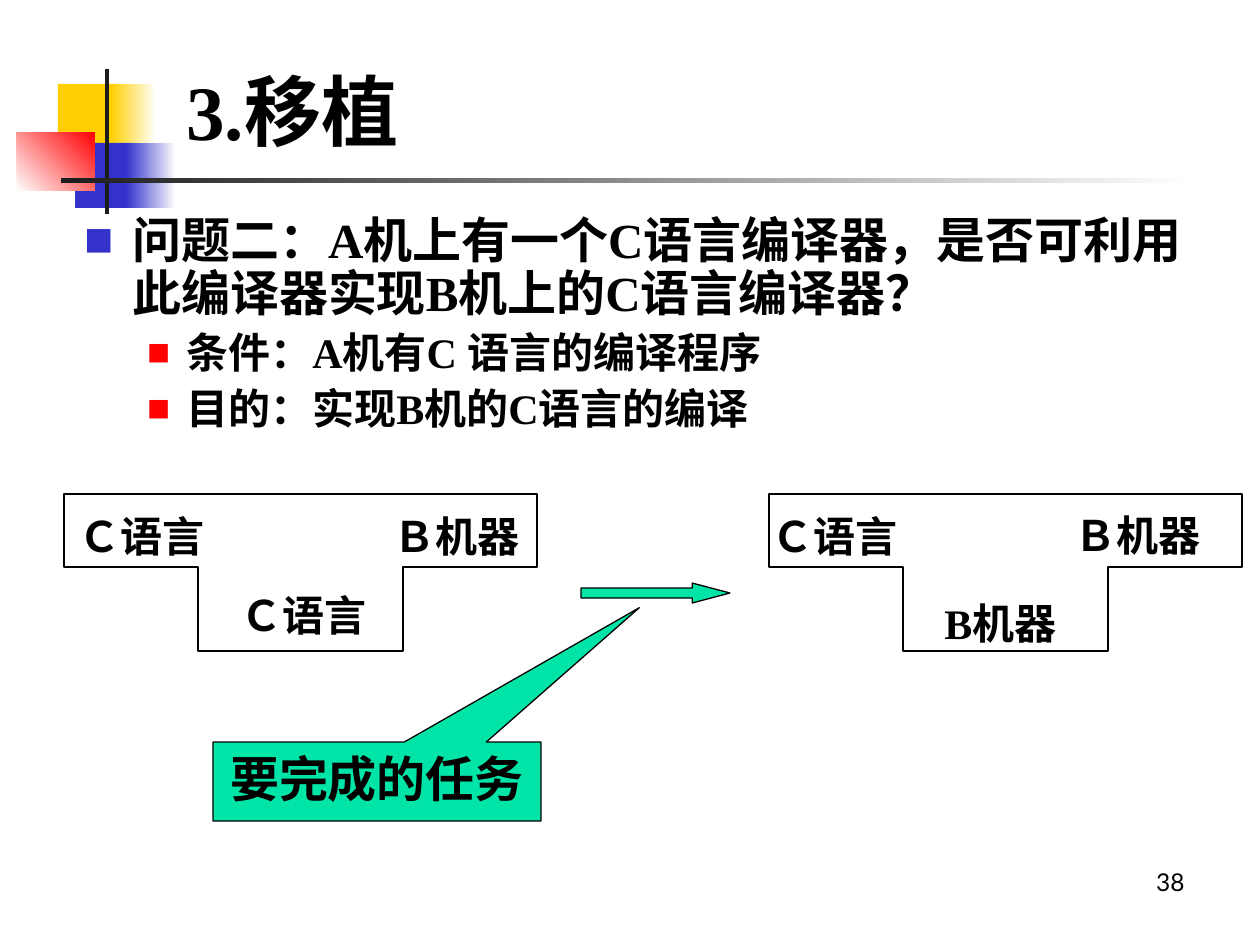
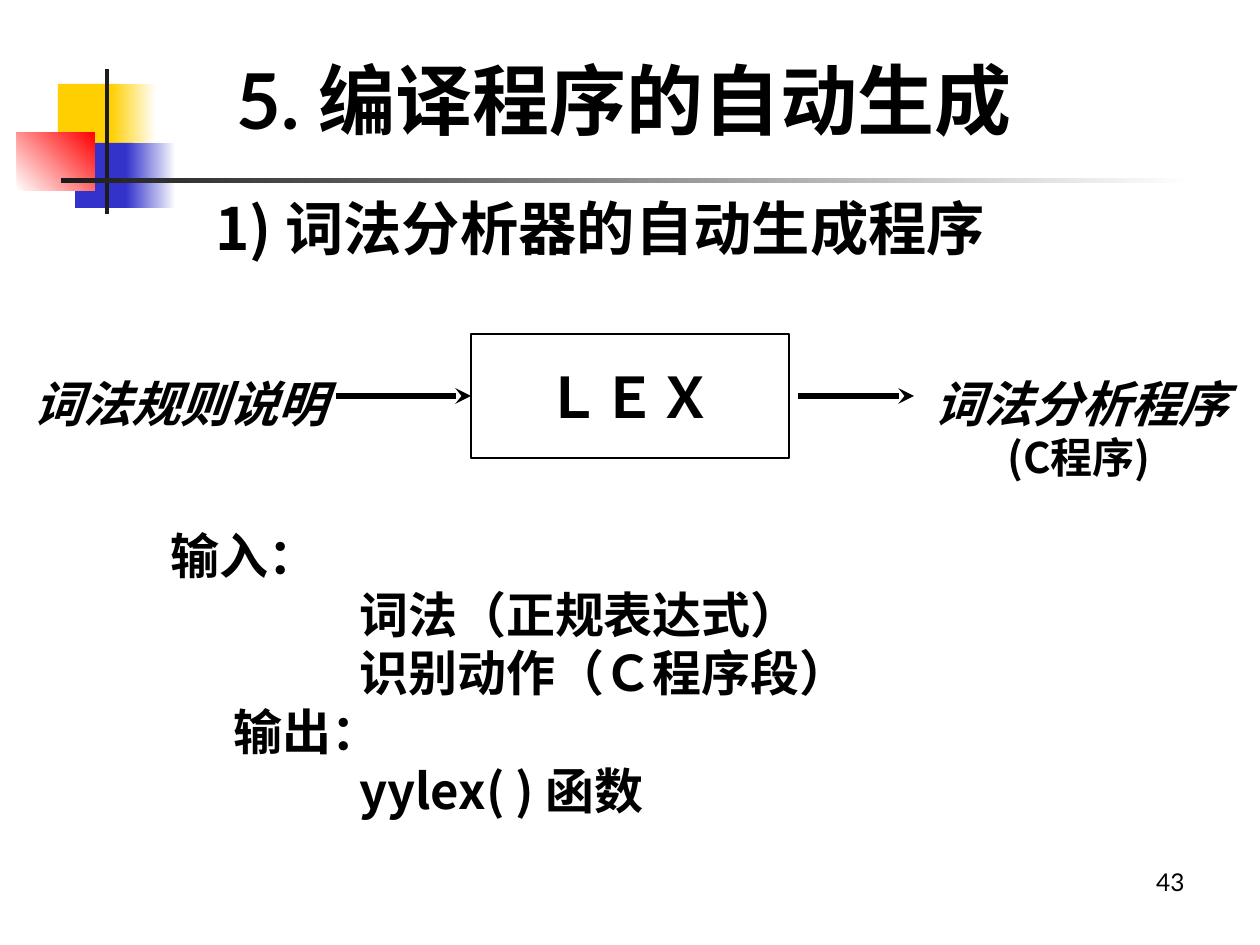
from lxml import etree
from pptx import Presentation
from pptx.dml.color import RGBColor
from pptx.enum.shapes import MSO_CONNECTOR, MSO_SHAPE
from pptx.enum.text import MSO_ANCHOR, PP_ALIGN
from pptx.oxml.ns import qn
from pptx.util import Emu, Pt

EMU_PER_PX = 914400 / 126

BLACK = RGBColor(0x00, 0x00, 0x00)
WHITE = RGBColor(0xFF, 0xFF, 0xFF)
INK = RGBColor(0x1C, 0x1C, 0x1C)
YELLOW = RGBColor(0xFF, 0xCF, 0x01)
BLUE = RGBColor(0x33, 0x33, 0xCC)
RED = RGBColor(0xFF, 0x00, 0x00)
GREEN = RGBColor(0x00, 0xE4, 0xA8)

SERIF = "Times New Roman"
SANS = "Lato"
HEI = "Noto Sans CJK SC"


def px(length):
    return Emu(round(length * EMU_PER_PX))


def add_run(paragraph, text, size, font=SERIF, bold=True, italic=False):
    run = paragraph.add_run()
    run.text = text
    run.font.name = font
    run.font.size = Pt(size)
    run.font.bold = bold
    run.font.italic = italic
    run.font.color.rgb = BLACK
    east_asian = etree.SubElement(run.font._element, qn("a:ea"))
    east_asian.set("typeface", HEI)


def add_text(slide, box, text, size, wrap=True, anchor=MSO_ANCHOR.TOP,
             align=PP_ALIGN.LEFT, **style):
    """Add a text box and return its first paragraph."""
    frame = slide.shapes.add_textbox(*map(px, box)).text_frame
    frame.word_wrap = wrap
    frame.vertical_anchor = anchor
    paragraph = frame.paragraphs[0]
    paragraph.alignment = align
    if text:
        add_run(paragraph, text, size, **style)
    return paragraph


def add_paragraphs(frame, count):
    return [frame.paragraphs[0]] + [frame.add_paragraph() for _ in range(count - 1)]


def set_indent(paragraph, margin, first_line=0):
    properties = paragraph._p.get_or_add_pPr()
    properties.set("marL", str(px(margin)))
    properties.set("indent", str(px(first_line)))
    return properties


def set_square_bullet(paragraph, color, percent, margin, hang):
    properties = set_indent(paragraph, margin, -hang)
    bullet_color = etree.SubElement(properties, qn("a:buClr"))
    etree.SubElement(bullet_color, qn("a:srgbClr")).set("val", str(color))
    etree.SubElement(properties, qn("a:buSzPct")).set("val", str(percent * 1000))
    etree.SubElement(properties, qn("a:buFont")).set("typeface", HEI)
    etree.SubElement(properties, qn("a:buChar")).set("char", "■")


def paint(shape, fill=None, line_width=None):
    shape.shadow.inherit = False
    if fill is None:
        shape.fill.background()
    else:
        shape.fill.solid()
        shape.fill.fore_color.rgb = fill
    if line_width is None:
        shape.line.fill.background()
    else:
        shape.line.color.rgb = BLACK
        shape.line.width = Pt(line_width)


def add_shape(slide, kind, box, fill=None, line_width=None):
    shape = slide.shapes.add_shape(kind, *map(px, box))
    paint(shape, fill, line_width)
    return shape


def add_fade(slide, box, start, end, angle=0):
    block = add_shape(slide, MSO_SHAPE.RECTANGLE, box)
    block.fill.gradient()
    block.fill.gradient_angle = angle
    for stop, color in zip(block.fill.gradient_stops, (start, end)):
        stop.color.rgb = color


def add_label(shape, text, size, **style):
    paragraph = shape.text_frame.paragraphs[0]
    paragraph.alignment = PP_ALIGN.CENTER
    add_run(paragraph, text, size, **style)


def add_arrow(slide, start, end, y):
    arrow = slide.shapes.add_connector(
        MSO_CONNECTOR.STRAIGHT, px(start), px(y), px(end), px(y))
    arrow.line.color.rgb = BLACK
    arrow.line.width = Pt(3)
    etree.SubElement(arrow.line._get_or_add_ln(), qn("a:tailEnd")).set("type", "stealth")
    etree.SubElement(arrow._element.spPr, qn("a:effectLst"))
    return arrow


def add_frame(prs, title, title_box, title_font, number):
    """Start a slide with the shared ornament, title and page number."""
    slide = prs.slides.add_slide(prs.slide_layouts[6])
    add_shape(slide, MSO_SHAPE.RECTANGLE, (58, 84, 60, 66), YELLOW)
    add_fade(slide, (111, 84, 45, 66), YELLOW, WHITE)
    add_shape(slide, MSO_SHAPE.RECTANGLE, (75, 143, 58, 65), BLUE)
    add_fade(slide, (126, 143, 50, 65), BLUE, WHITE)
    add_fade(slide, (17, 132, 78, 59), WHITE, RED, angle=45)
    add_shape(slide, MSO_SHAPE.RECTANGLE, (105, 69, 4, 145), INK)
    add_fade(slide, (61, 178, 1134, 5), INK, WHITE)
    add_text(slide, (903, 861, 294, 65), number, 14, align=PP_ALIGN.RIGHT,
             font=SANS, bold=False)
    add_text(slide, title_box, title, 44, anchor=MSO_ANCHOR.MIDDLE, font=title_font)
    return slide


def add_t_diagram(slide, left, top=494):
    """Outline a T diagram: a wide bar with a centred stem below it."""
    width, bar_height, height, shoulder = 473, 73, 157, 134
    right, bar_bottom, bottom = left + width, top + bar_height, top + height
    stem_left, stem_right = left + shoulder, right - shoulder
    outline = [(left, bar_bottom), (stem_left, bar_bottom), (stem_left, bottom),
               (stem_right, bottom), (stem_right, bar_bottom), (right, bar_bottom),
               (right, top)]
    builder = slide.shapes.build_freeform(left, top, scale=EMU_PER_PX)
    builder.add_line_segments(outline, close=True)
    paint(builder.convert_to_shape(), line_width=1)


def build_porting_slide(prs):
    slide = add_frame(prs, "3.移植", (174, 55, 932, 110), SERIF, "38")

    question = "问题二：A机上有一个C语言编译器，是否可利用此编译器实现B机上的C语言编译器？"
    points = [(question, 28, 7, BLUE, 60, 48, 48),
              ("条件：A机有C 语言的编译程序", 24, 6, RED, 55, 102, 39),
              ("目的：实现B机的C语言的编译", 24, 6, RED, 55, 102, 39)]
    body = add_text(slide, (72, 210, 1134, 242), "", 28)._parent
    for paragraph, point in zip(add_paragraphs(body, len(points)), points):
        text, size, space, color, percent, margin, hang = point
        paragraph.line_spacing = 0.9
        paragraph.space_before = Pt(space)
        set_square_bullet(paragraph, color, percent, margin, hang)
        add_run(paragraph, text, size)

    for left in (64, 769):
        add_t_diagram(slide, left)
    for text, left, top in [("Ｃ语言", 66, 504), ("Ｃ语言", 228, 583),
                            ("Ｂ机器", 381, 504), ("Ｃ语言", 759, 504),
                            ("B机器", 932, 591), ("Ｂ机器", 1062, 503)]:
        add_text(slide, (left, top, 151, 63), text, 24, wrap=False)

    arrow = add_shape(slide, MSO_SHAPE.RIGHT_ARROW, (581, 583, 149, 20), GREEN, 0.75)
    arrow.adjustments[1] = 1.89
    task = add_shape(slide, MSO_SHAPE.RECTANGULAR_CALLOUT, (213, 742, 328, 79), GREEN, 0.75)
    task.adjustments[0], task.adjustments[1] = 0.8, -2.2
    task.text_frame.vertical_anchor = MSO_ANCHOR.TOP
    add_label(task, "要完成的任务", 28, font=SANS)


def build_lex_slide(prs):
    slide = add_frame(prs, "5. 编译程序的自动生成", (224, 55, 970, 87), SANS, "43")
    subtitle = add_text(slide, (203, 194, 902, 95), "1) 词法分析器的自动生成程序",
                        33.3, font=HEI)
    subtitle.line_spacing = 0.9
    subtitle.space_before = Pt(9)
    set_indent(subtitle, 48, -48)

    lex = add_shape(slide, MSO_SHAPE.RECTANGLE, (471, 334, 318, 124), line_width=1)
    lex.text_frame.word_wrap = False
    add_label(lex, "ＬＥＸ", 32)
    add_arrow(slide, 798, 914, 396)
    add_arrow(slide, 336, 471, 396).end_connect(lex, 1)

    add_text(slide, (21, 367, 433, 72), "词法规则说明", 28, italic=True)
    add_text(slide, (922, 367, 338, 72), "词法分析程序", 28, italic=True)
    add_text(slide, (995, 425, 210, 63), "(C程序)", 24, font=HEI)

    lines = [("输入：", 0), ("词法（正规表达式）", 189), ("识别动作（Ｃ程序段）", 189),
             ("输出：", 63), ("yylex( ) 函数", 189)]
    body = add_text(slide, (158, 519, 759, 307), "", 28)._parent
    for paragraph, (text, margin) in zip(add_paragraphs(body, len(lines)), lines):
        set_indent(paragraph, margin)
        add_run(paragraph, text, 28, font=HEI)


def main():
    prs = Presentation()
    prs.slide_width, prs.slide_height = px(1260), px(945)
    build_porting_slide(prs)
    build_lex_slide(prs)
    prs.save("out.pptx")


if __name__ == "__main__":
    main()
